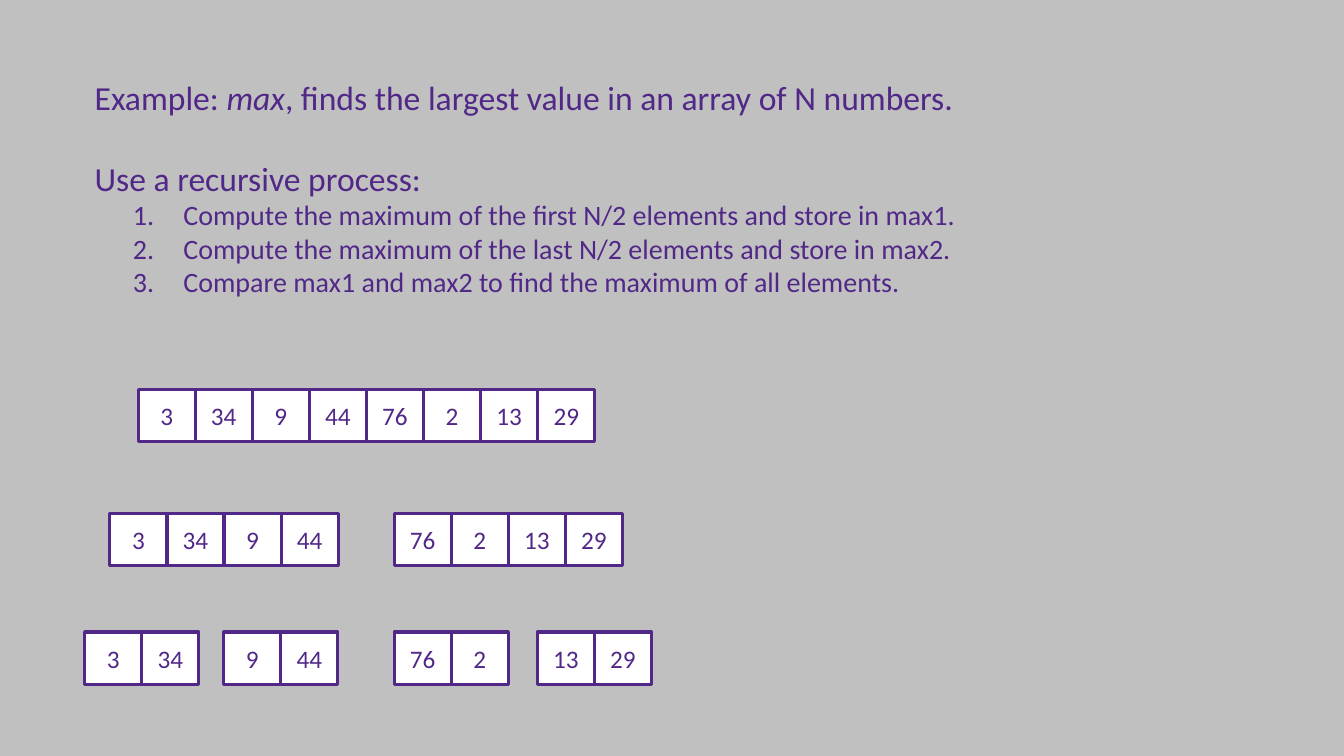
from dataclasses import dataclass

from lxml.etree import SubElement
from pptx import Presentation
from pptx.dml.color import RGBColor
from pptx.enum.shapes import MSO_SHAPE
from pptx.enum.text import MSO_ANCHOR, PP_ALIGN
from pptx.oxml.ns import qn
from pptx.util import Inches, Pt

# Each paragraph is a list of (text, italic) runs
INTRO = [
    [("Example: ", False), ("max", True),
     (", finds the largest value in an array of N numbers.", False)],
    [("Use a recursive process:", False)],
]
STEPS = [
    "Compute the maximum of the first N/2 elements and store in max1.",
    "Compute the maximum of the last N/2 elements and store in max2.",
    "Compare max1 and max2 to find the maximum of all elements.",
]
NUMBERS = [3, 34, 9, 44, 76, 2, 13, 29]
# Top of each recursion level, then the left edge of each of its equal parts
LEVELS = [
    (3.86, [1.37]),
    (5.09, [1.09, 3.91]),
    (6.27, [0.84, 2.22, 3.91, 5.33]),
]
ARRAY_WIDTH, CELL_HEIGHT = 4.53, 0.52
CELL_WIDTH = ARRAY_WIDTH / len(NUMBERS)


@dataclass(frozen=True)
class Theme:
    background: RGBColor = RGBColor(0xC0, 0xC0, 0xC0)
    cell: RGBColor = RGBColor(0xFF, 0xFF, 0xFF)
    ink: RGBColor = RGBColor(0x51, 0x28, 0x88)
    font: str = "Calibri"
    intro_size: Pt = Pt(24)
    step_size: Pt = Pt(20)
    cell_size: Pt = Pt(18)
    border: Pt = Pt(2.25)
    intro_gap: Pt = Pt(29)


THEME = Theme()


def add_run(paragraph, text, size, italic=False):
    run = paragraph.add_run()
    run.text = text
    run.font.name = THEME.font
    run.font.size = size
    run.font.italic = italic
    run.font.color.rgb = THEME.ink


def number_paragraph(paragraph):
    properties = paragraph._p.get_or_add_pPr()
    properties.set("marL", str(Inches(0.88)))
    properties.set("indent", str(Inches(-0.5)))
    SubElement(properties, qn("a:buFont"), typeface="+mj-lt")
    SubElement(properties, qn("a:buAutoNum"), type="arabicPeriod")


def add_explanation(slide):
    box = slide.shapes.add_textbox(Inches(0.84), Inches(0.71), Inches(9.5), Inches(2.73))
    frame = box.text_frame
    frame.word_wrap = True
    for index, runs in enumerate(INTRO):
        paragraph = frame.add_paragraph() if index else frame.paragraphs[0]
        if index:
            paragraph.space_before = THEME.intro_gap
        for text, italic in runs:
            add_run(paragraph, text, THEME.intro_size, italic)
    for step in STEPS:
        paragraph = frame.add_paragraph()
        number_paragraph(paragraph)
        add_run(paragraph, step, THEME.step_size)


def add_cell(slide, left, top, number):
    cell = slide.shapes.add_shape(MSO_SHAPE.RECTANGLE, Inches(left), Inches(top),
                                  Inches(CELL_WIDTH), Inches(CELL_HEIGHT))
    cell.shadow.inherit = False
    cell.fill.solid()
    cell.fill.fore_color.rgb = THEME.cell
    cell.line.color.rgb = THEME.ink
    cell.line.width = THEME.border
    cell.text_frame.vertical_anchor = MSO_ANCHOR.MIDDLE
    paragraph = cell.text_frame.paragraphs[0]
    paragraph.alignment = PP_ALIGN.CENTER
    add_run(paragraph, str(number), THEME.cell_size)


def add_level(slide, top, part_lefts):
    """Split the numbers evenly over the parts and draw each part as a row of cells."""
    part_length = len(NUMBERS) // len(part_lefts)
    for index, number in enumerate(NUMBERS):
        part, position = divmod(index, part_length)
        add_cell(slide, part_lefts[part] + position * CELL_WIDTH, top, number)


def main():
    presentation = Presentation()
    presentation.slide_width, presentation.slide_height = Inches(13.33), Inches(7.5)
    slide = presentation.slides.add_slide(presentation.slide_layouts[6])
    slide.background.fill.solid()
    slide.background.fill.fore_color.rgb = THEME.background
    add_explanation(slide)
    for top, part_lefts in LEVELS:
        add_level(slide, top, part_lefts)
    presentation.save("out.pptx")


if __name__ == "__main__":
    main()
